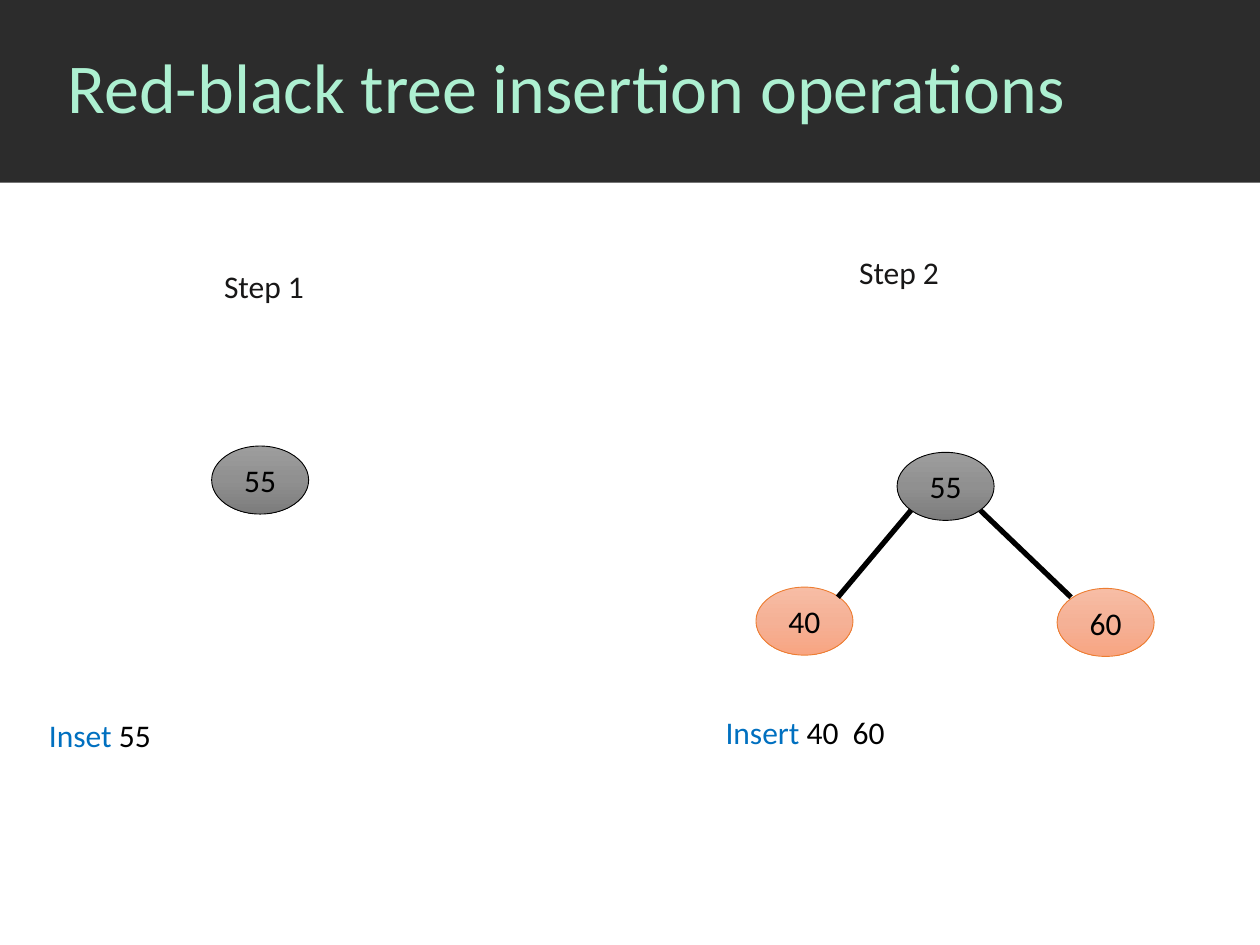
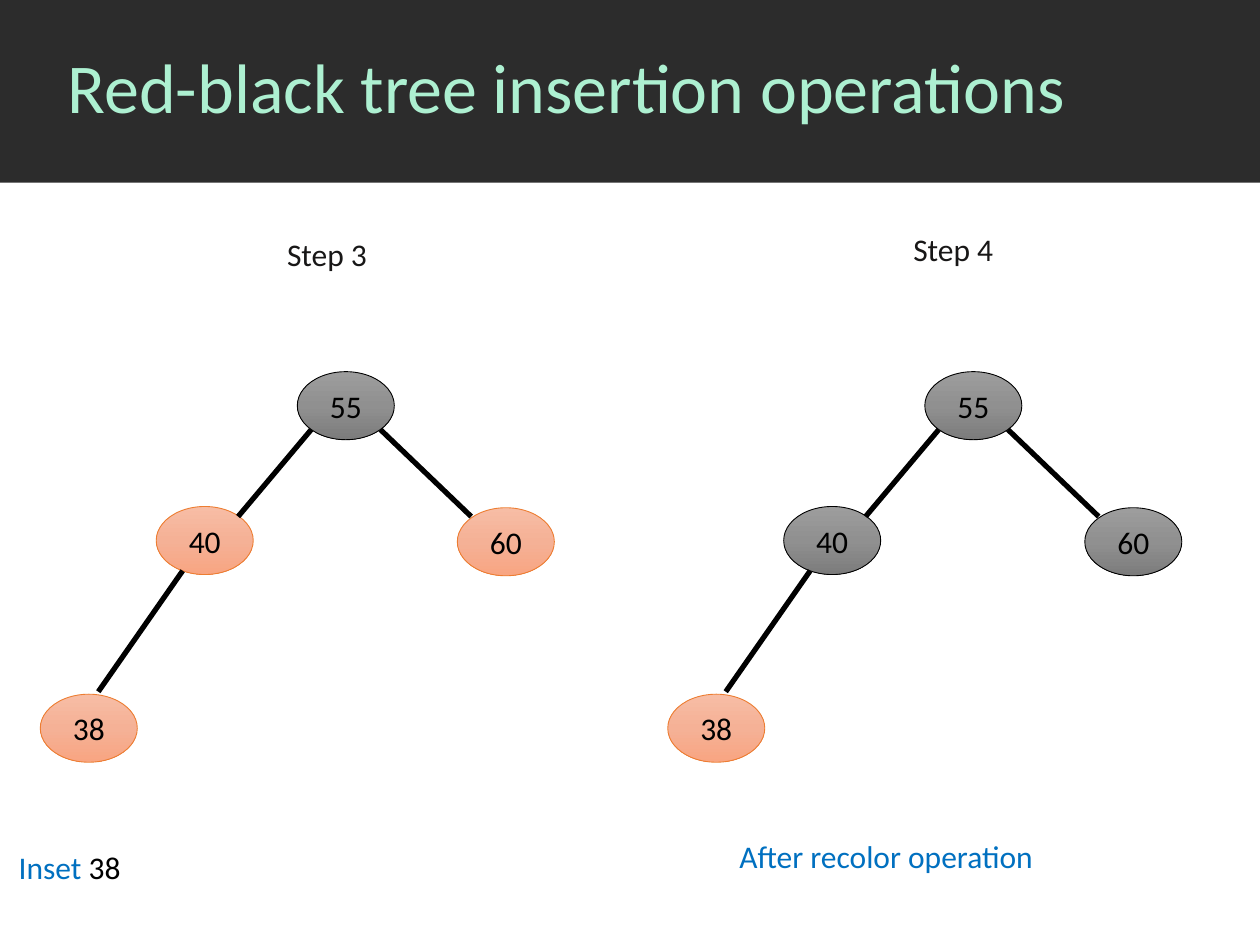
from copy import deepcopy

from pptx import Presentation
from pptx.dml.color import RGBColor
from pptx.enum.shapes import MSO_CONNECTOR, MSO_SHAPE
from pptx.enum.text import MSO_ANCHOR, MSO_AUTO_SIZE, PP_ALIGN
from pptx.oxml.ns import qn
from pptx.util import Inches, Pt

TITLE = "Red-black tree insertion operations"
FONT = "Calibri"
BAND, MINT, INK, BLUE, BLACK = "2C2C2C", "ADF0D1", "181717", "0070C0", "000000"

# Gradient stops and outline of each node colour
NODE_STYLES = {
    "black": (("9D9D9D", "909090", "7C7C7C"), BLACK),
    "red": (("F7BDA5", "F5B196", "F8A582"), "ED7D31"),
}
NODE_WIDTH, NODE_HEIGHT = 0.77, 0.54

# Node and branch places, measured from the root's top left corner
NODE_OFFSETS = {"55": (0, 0), "38": (-2.04, 2.56), "60": (1.27, 1.08), "40": (-1.12, 1.07)}
BRANCHES = {
    "40": ((0.11, 0.46), (-0.47, 1.15)),
    "60": ((0.66, 0.46), (1.38, 1.15)),
    "38": ((-0.91, 1.58), (-1.58, 2.54)),
}

SLIDES = [
    [
        {"step": "Step 1", "step_at": (1.68, 2.07), "root": (1.68, 3.54),
         "nodes": {"55": "black"},
         "caption": [("Inset", BLUE), (" 55", BLACK)], "caption_at": (0.29, 5.63)},
        {"step": "Step 2", "step_at": (6.72, 1.96), "root": (7.12, 3.59),
         "nodes": {"55": "black", "60": "red", "40": "red"},
         "caption": [("Insert", BLUE), (" 40  60", BLACK)], "caption_at": (5.66, 5.61)},
    ],
    [
        {"step": "Step 3", "step_at": (2.18, 1.82), "root": (2.36, 2.95),
         "nodes": {"55": "black", "38": "red", "60": "red", "40": "red"},
         "caption": [("Inset", BLUE), (" 38", BLACK)], "caption_at": (0.05, 6.68)},
        {"step": "Step 4", "step_at": (7.15, 1.78), "root": (7.34, 2.95),
         "nodes": {"55": "black", "38": "red", "60": "black", "40": "black"},
         "caption": [("After recolor operation", BLUE)], "caption_at": (5.77, 6.59)},
    ],
]


def color(hex_string):
    return RGBColor.from_string(hex_string)


def add_runs(paragraph, runs, size):
    for text, hex_string in runs:
        run = paragraph.add_run()
        run.text = text
        run.font.name = FONT
        run.font.size = Pt(size)
        run.font.color.rgb = color(hex_string)


def add_text(slide, runs, left, top, width, height=0.4, size=18):
    box = slide.shapes.add_textbox(Inches(left), Inches(top), Inches(width), Inches(height))
    box.text_frame.word_wrap = True
    add_runs(box.text_frame.paragraphs[0], runs, size)
    return box.text_frame


def add_header(slide):
    band = slide.shapes.add_shape(MSO_SHAPE.RECTANGLE, 0, 0, Inches(10), Inches(1.45))
    band.shadow.inherit = False
    band.fill.solid()
    band.fill.fore_color.rgb = color(BAND)
    band.line.fill.background()
    title_frame = add_text(slide, [(TITLE, MINT)], 0.44, 0, 9.56, 1.44, size=40)
    title_frame.vertical_anchor = MSO_ANCHOR.MIDDLE
    title_frame.paragraphs[0].line_spacing = 0.9


def fill_gradient(shape, hex_strings):
    """Fill from top to bottom with three evenly spaced colours."""
    shape.fill.gradient()
    shape.fill.gradient_angle = 270
    stop_list = shape._element.spPr.find(".//" + qn("a:gsLst"))
    stop_list.append(deepcopy(stop_list[0]))
    for index, (stop, hex_string) in enumerate(zip(shape.fill.gradient_stops, hex_strings)):
        stop.position = index / 2
        stop.color.rgb = color(hex_string)


def add_node(slide, key, style, left, top):
    gradient, outline = NODE_STYLES[style]
    node = slide.shapes.add_shape(MSO_SHAPE.OVAL, Inches(left), Inches(top),
                                  Inches(NODE_WIDTH), Inches(NODE_HEIGHT))
    node.shadow.inherit = False
    fill_gradient(node, gradient)
    node.line.color.rgb = color(outline)
    node.line.width = Pt(0.5)
    node.text_frame.vertical_anchor = MSO_ANCHOR.MIDDLE
    paragraph = node.text_frame.paragraphs[0]
    paragraph.alignment = PP_ALIGN.CENTER
    add_runs(paragraph, [(key, BLACK)], 18)


def add_branch(slide, start, end):
    branch = slide.shapes.add_connector(MSO_CONNECTOR.STRAIGHT,
                                        *(Inches(value) for value in (*start, *end)))
    branch.line.color.rgb = color(BLACK)
    branch.line.width = Pt(3)
    properties = branch._element.spPr
    properties.append(properties.makeelement(qn("a:effectLst"), {}))


def add_tree(slide, root, nodes):
    def place(offset):
        return root[0] + offset[0], root[1] + offset[1]

    for key, style in nodes.items():
        add_node(slide, key, style, *place(NODE_OFFSETS[key]))
    for child, (start, end) in BRANCHES.items():
        if child in nodes:
            add_branch(slide, place(start), place(end))


def add_step(slide, step):
    add_tree(slide, step["root"], step["nodes"])
    caption = add_text(slide, step["caption"], *step["caption_at"], width=3.92)
    label = add_text(slide, [(step["step"], INK)], *step["step_at"], width=1.14)
    for text_frame in (caption, label):
        text_frame.auto_size = MSO_AUTO_SIZE.SHAPE_TO_FIT_TEXT


def main():
    presentation = Presentation()
    presentation.slide_width, presentation.slide_height = Inches(10), Inches(7.5)
    for steps in SLIDES:
        slide = presentation.slides.add_slide(presentation.slide_layouts[6])
        add_header(slide)
        for step in steps:
            add_step(slide, step)
    presentation.save("out.pptx")


if __name__ == "__main__":
    main()
